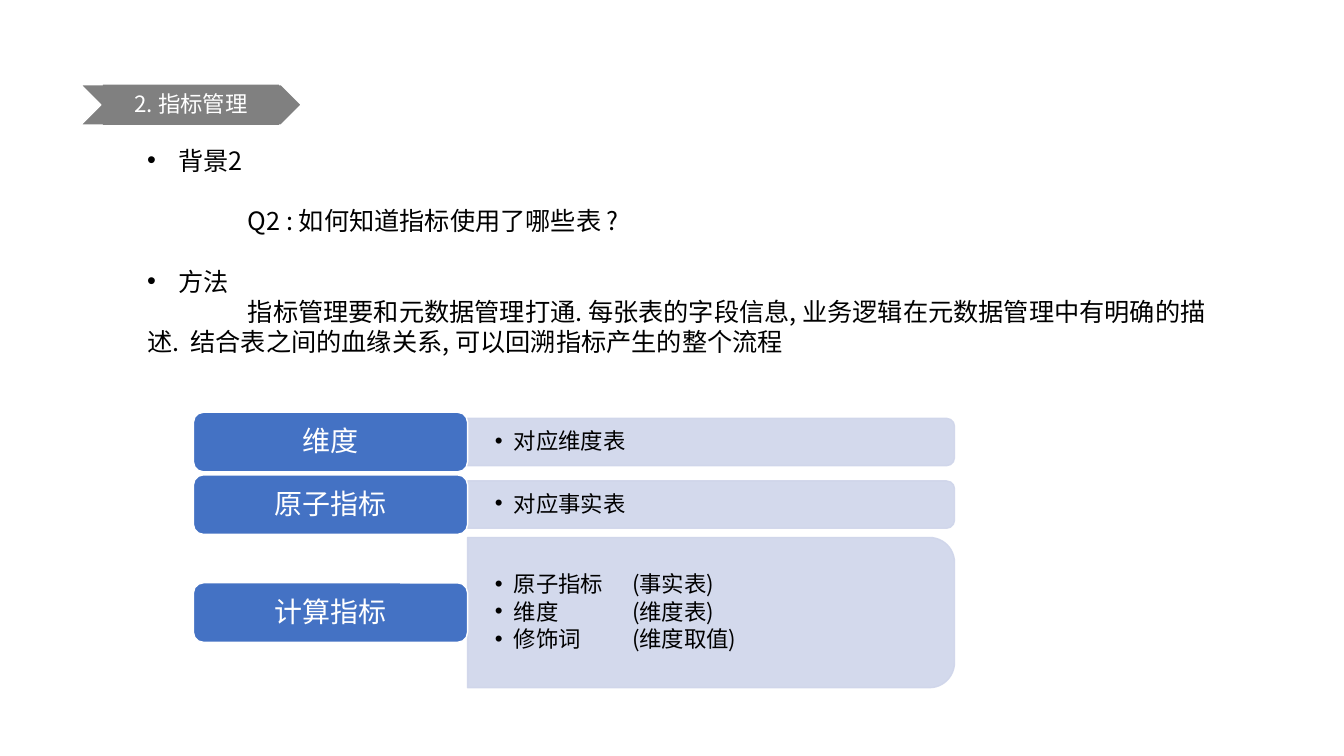
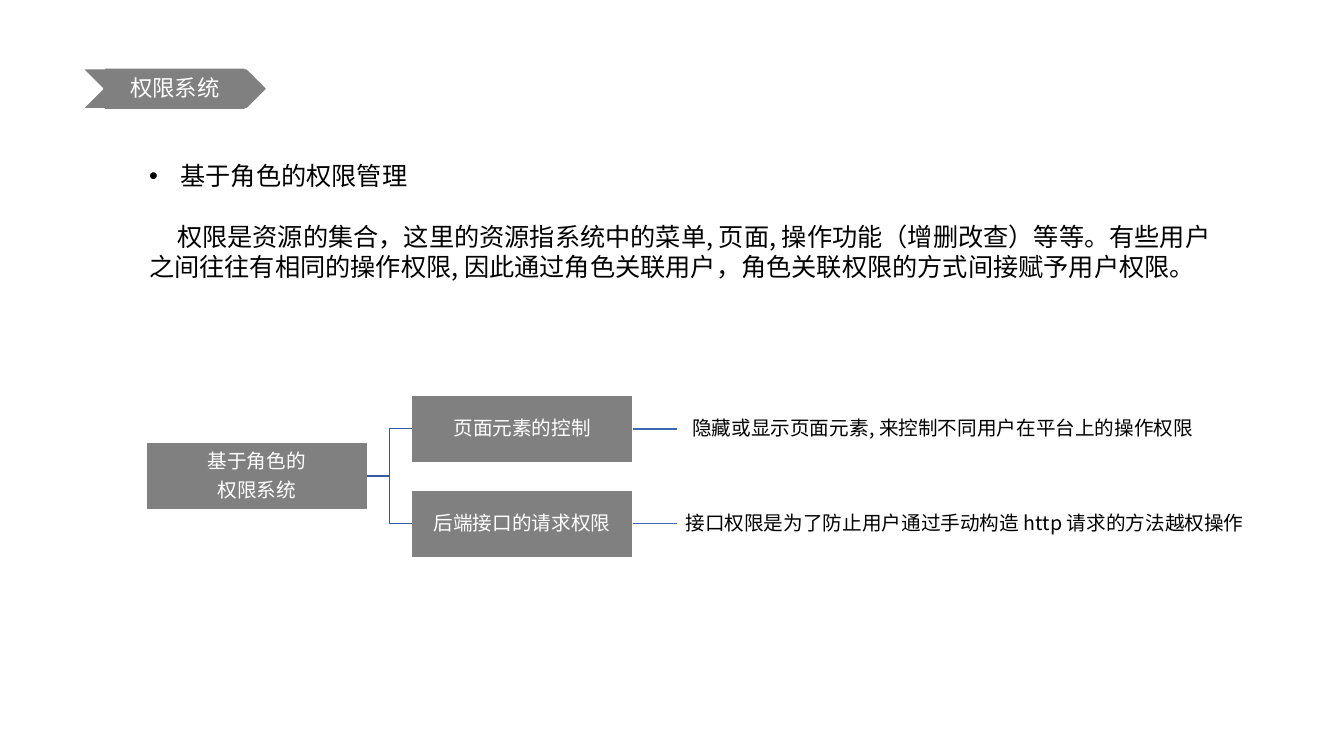
from dataclasses import dataclass

from lxml.etree import SubElement
from pptx import Presentation
from pptx.dml.color import RGBColor
from pptx.enum.shapes import MSO_CONNECTOR as LINK, MSO_SHAPE as SHAPE
from pptx.enum.text import MSO_ANCHOR as ANCHOR, PP_ALIGN as ALIGN
from pptx.oxml.ns import qn
from pptx.util import Pt

FONT = "Noto Sans CJK SC"
COLORS = {
    "text": "000000",
    "white": "FFFFFF",
    "gray": "808080",
    "label": "4472C4",
    "panel": "CFD5EA",
    "elbow": "365B9D",
    "straight": "3E67B2",
}
BODY_SIZE = 18
BODY_LINE = 21.6
BODY_BULLET = 22.5
HEADER_HEIGHT = 28.8
HEADER_NOTCH = 16


@dataclass
class Para:
    text: str
    bullet: float = 0
    first_indent: float = 0
    before: float = 0
    tab: float = 0


def rgb(name):
    return RGBColor.from_string(COLORS[name])


def format_para(paragraph, para):
    """Set the indents, the bullet and the tab stop."""
    props = paragraph._p.get_or_add_pPr()
    props.set("marL", str(Pt(para.bullet)))
    props.set("indent", str(Pt(para.first_indent - para.bullet)))
    if para.bullet:
        SubElement(props, qn("a:buFont"), typeface="Arial")
        SubElement(props, qn("a:buChar"), char="•")
    if para.tab:
        stops = SubElement(props, qn("a:tabLst"))
        SubElement(stops, qn("a:tab"), pos=str(Pt(para.tab)), algn="l")


def put_text(shape, paras, size=BODY_SIZE, color="text", align=ALIGN.LEFT,
             anchor=ANCHOR.MIDDLE, insets=(1, 1), line=1.08, wrap=True):
    """Fill a shape with paragraphs; line is the pitch as a multiple of size."""
    frame = shape.text_frame
    frame.word_wrap = wrap
    frame.vertical_anchor = anchor
    frame.margin_left = frame.margin_right = Pt(insets[0])
    frame.margin_top = frame.margin_bottom = Pt(insets[1])
    for index, para in enumerate(paras):
        paragraph = frame.add_paragraph() if index else frame.paragraphs[0]
        paragraph.alignment = align
        paragraph.line_spacing = Pt(size * line)
        paragraph.space_before = Pt(para.before)
        format_para(paragraph, para)
        run = paragraph.add_run()
        run.text = para.text
        run.font.size = Pt(size)
        run.font.color.rgb = rgb(color)
        run.font.name = FONT
        SubElement(run._r.get_or_add_rPr(), qn("a:ea"), typeface=FONT)


def add_block(slide, kind, left, top, width, height, fill, outline="white"):
    block = slide.shapes.add_shape(kind, Pt(left), Pt(top), Pt(width), Pt(height))
    block.shadow.inherit = False
    block.fill.solid()
    block.fill.fore_color.rgb = rgb(fill)
    if outline:
        block.line.color.rgb = rgb(outline)
        block.line.width = Pt(1)
    else:
        block.line.fill.background()
    return block


def add_text(slide, left, top, width, height, paras, **style):
    box = slide.shapes.add_textbox(Pt(left), Pt(top), Pt(width), Pt(height))
    put_text(box, paras, **style)


def add_body(slide, left, top, width, height, paras):
    add_text(slide, left, top, width, height, paras, anchor=ANCHOR.TOP,
             insets=(7.2, 3.6), line=BODY_LINE / BODY_SIZE)


def add_header(slide, left, top, width, title):
    add_block(slide, SHAPE.CHEVRON, left, top, width, HEADER_HEIGHT, "gray")
    band = add_block(slide, SHAPE.RECTANGLE, left + HEADER_NOTCH, top,
                     width - 2 * HEADER_NOTCH, HEADER_HEIGHT, "gray", None)
    put_text(band, [Para(title)], size=16, color="white", align=ALIGN.CENTER)


def add_panel(slide, left, top, width, height, paras):
    """Add a translucent panel with its two right corners rounded."""
    shift = (width - height) / 2
    panel = add_block(slide, SHAPE.ROUND_2_SAME_RECTANGLE, left + shift, top - shift,
                      height, width, "panel", "panel")
    panel.rotation = 90
    for color in panel._element.spPr.iter(qn("a:srgbClr")):
        SubElement(color, qn("a:alpha"), val="90000")
    add_text(slide, left, top, width, height, paras, size=16, insets=(19.5, 0))


def add_metric_rows(slide, rows):
    left, top, gap = 138.2, 294.5, 2.2
    label_width, label_height, panel_width = 195.8, 42.5, 347.8
    for label_text, panel_height, items in rows:
        row_height = max(label_height, panel_height)
        middle = top + row_height / 2
        paras = [Para(item, bullet=13.5, before=2.4 if index else 0, tab=98)
                 for index, item in enumerate(items)]
        add_panel(slide, left + label_width, middle - panel_height / 2,
                  panel_width, panel_height, paras)
        label = add_block(slide, SHAPE.ROUNDED_RECTANGLE, left,
                          middle - label_height / 2, label_width, label_height, "label")
        put_text(label, [Para(label_text)], size=20, color="white", align=ALIGN.CENTER)
        top += row_height + gap


def add_node(slide, left, middle, width, lines, fill="gray", color="white"):
    height = 48
    node = add_block(slide, SHAPE.RECTANGLE, left, middle - height / 2,
                     width, height, fill)
    paras = [Para(text, before=5 if index else 0) for index, text in enumerate(lines)]
    put_text(node, paras, size=14, color=color, align=ALIGN.CENTER, wrap=False)
    return node


def link(slide, kind, start, end, color):
    """Join the right side of one node to the left side of the next."""
    connector = slide.shapes.add_connector(kind, 0, 0, 0, 0)
    connector.begin_connect(start, 3)
    connector.end_connect(end, 1)
    connector.line.color.rgb = rgb(color)
    connector.line.width = Pt(1)
    SubElement(connector._element.spPr, qn("a:effectLst"))


def add_tree(slide, root_lines, branches):
    left, middle, node_width, gap, pitch = 104.5, 340.2, 158, 31.5, 67.7
    step = node_width + gap
    root = add_node(slide, left, middle, node_width, root_lines)
    for index, (branch_text, leaf_text, leaf_width) in enumerate(branches):
        branch_middle = middle + (index - (len(branches) - 1) / 2) * pitch
        branch = add_node(slide, left + step, branch_middle, node_width, [branch_text])
        leaf = add_node(slide, left + 2 * step, branch_middle, leaf_width,
                        [leaf_text], "white", "text")
        link(slide, LINK.ELBOW, root, branch, "elbow")
        link(slide, LINK.STRAIGHT, branch, leaf, "straight")


def build_metrics(slide):
    add_body(slide, 98, 100, 780.5, 160, [
        Para("背景2", bullet=BODY_BULLET),
        Para("Q2 : 如何知道指标使用了哪些表 ?", first_indent=72, before=BODY_LINE),
        Para("方法", bullet=BODY_BULLET, before=BODY_LINE),
        Para("指标管理要和元数据管理打通. 每张表的字段信息, 业务逻辑在元数据管理中有明确的描述. "
             " 结合表之间的血缘关系, 可以回溯指标产生的整个流程", first_indent=72),
    ])
    add_metric_rows(slide, [
        ("维度", 33.8, ["对应维度表"]),
        ("原子指标", 33.8, ["对应事实表"]),
        ("计算指标", 107.3, ["原子指标\t(事实表)", "维度\t(维度表)", "修饰词\t(维度取值)"]),
    ])
    add_header(slide, 57.6, 60.5, 157.7, "2. 指标管理")


def build_permissions(slide):
    add_body(slide, 99.4, 111, 773.3, 116.6, [
        Para("基于角色的权限管理", bullet=BODY_BULLET),
        Para("权限是资源的集合，这里的资源指系统中的菜单, 页面, 操作功能（增删改查）等等。"
             "有些用户之间往往有相同的操作权限, 因此通过角色关联用户，"
             "角色关联权限的方式间接赋予用户权限。", first_indent=20, before=BODY_LINE),
    ])
    add_header(slide, 59, 49, 131.8, "权限系统")
    add_tree(slide, ["基于角色的", "权限系统"], [
        ("页面元素的控制", "隐藏或显示页面元素, 来控制不同用户在平台上的操作权限", 380),
        ("后端接口的请求权限", "接口权限是为了防止用户通过手动构造 http 请求的方法越权操作", 411),
    ])


def main():
    deck = Presentation()
    deck.slide_width, deck.slide_height = Pt(960), Pt(540)
    for build in (build_metrics, build_permissions):
        build(deck.slides.add_slide(deck.slide_layouts[6]))
    deck.save("out.pptx")


if __name__ == "__main__":
    main()
